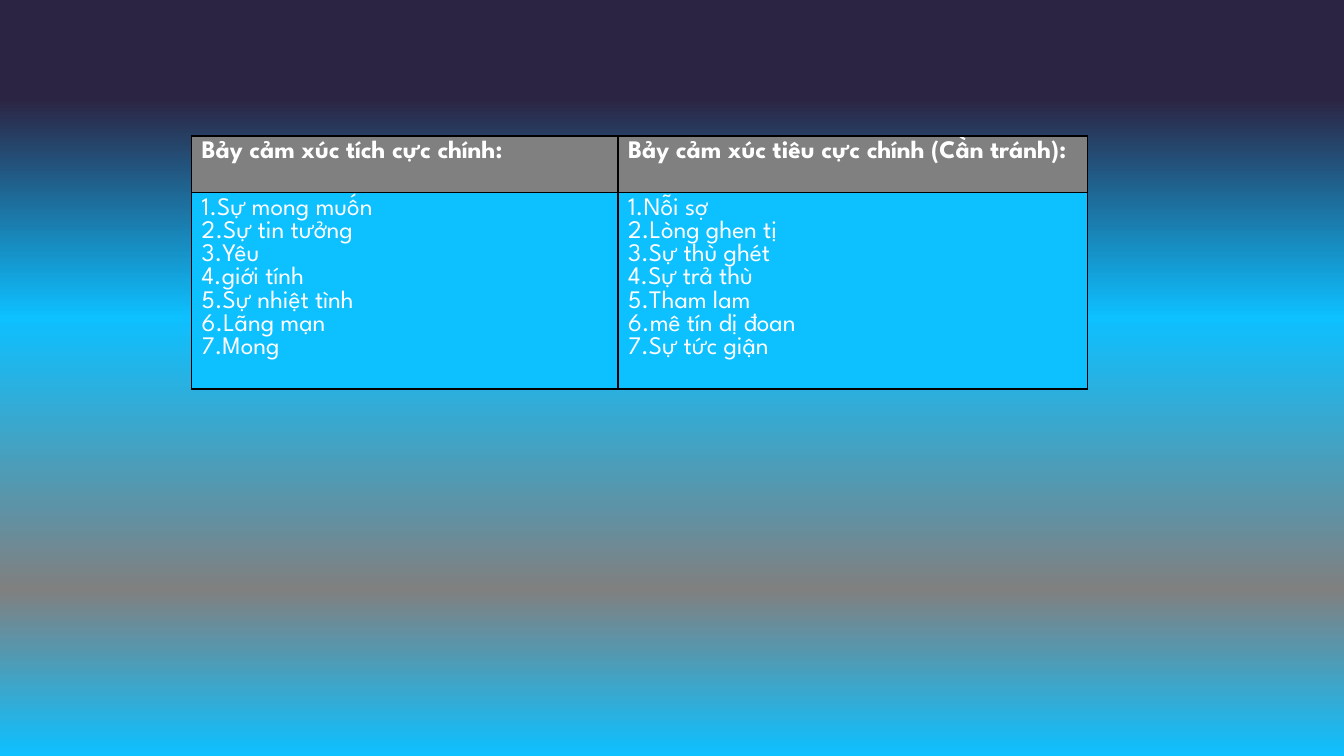
from lxml.etree import SubElement
from pptx import Presentation
from pptx.dml.color import RGBColor
from pptx.oxml.ns import qn
from pptx.util import Inches, Pt

FONT = "League Spartan"
NAVY, CYAN, GRAY = "2C2443", "0DC0FF", "808080"
WHITE, BLACK = "FFFFFF", "000000"
STOPS = [(13, NAVY), (42, CYAN), (78, GRAY), (100, CYAN)]
WIDTHS = [4.23, 4.66]
HEIGHTS = [0.56, 1.95]
LISTS = {
    "Bảy cảm xúc tích cực chính:": [
        "Sự mong muốn", "Sự tin tưởng", "Yêu", "giới tính",
        "Sự nhiệt tình", "Lãng mạn", "Mong",
    ],
    "Bảy cảm xúc tiêu cực chính (Cần tránh):": [
        "Nỗi sợ", "Lòng ghen tị", "Sự thù ghét", "Sự trả thù",
        "Tham lam", "mê tín dị đoan", "Sự tức giận",
    ],
}


def color(code):
    return RGBColor.from_string(code)


def paint_back(slide):
    """Fill the background with a gradient from top to bottom."""
    fill = slide.background.fill
    fill.gradient()
    fill.gradient_angle = 270
    stops = slide.element.find(".//" + qn("a:gsLst"))
    for old in list(stops):
        stops.remove(old)
    for place, code in STOPS:
        stop = SubElement(stops, qn("a:gs"), pos=str(place * 1000))
        SubElement(stop, qn("a:srgbClr"), val=code)


def add_border(cell):
    props = cell._tc.get_or_add_tcPr()
    for side in ("lnL", "lnR", "lnT", "lnB"):
        line = SubElement(props, qn("a:" + side), w=str(Pt(1)))
        fill = SubElement(line, qn("a:solidFill"))
        SubElement(fill, qn("a:srgbClr"), val=BLACK)


def fill_cell(cell, lines, back, bold):
    add_border(cell)
    cell.fill.solid()
    cell.fill.fore_color.rgb = color(back)
    frame = cell.text_frame
    for i, text in enumerate(lines):
        para = frame.add_paragraph() if i else frame.paragraphs[0]
        run = para.add_run()
        run.text = text
        run.font.name = FONT
        run.font.size = Pt(18)
        run.font.bold = bold
        run.font.color.rgb = color(WHITE)


def add_grid(slide):
    table = slide.shapes.add_table(
        len(HEIGHTS), len(WIDTHS), Inches(1.9), Inches(1.35),
        Inches(sum(WIDTHS)), Inches(sum(HEIGHTS))).table
    for row, height in zip(table.rows, HEIGHTS):
        row.height = Inches(height)
    for col, (head, items) in enumerate(LISTS.items()):
        table.columns[col].width = Inches(WIDTHS[col])
        lines = [f"{n}.{item}" for n, item in enumerate(items, 1)]
        fill_cell(table.cell(0, col), [head], GRAY, True)
        fill_cell(table.cell(1, col), lines, CYAN, False)


def main():
    deck = Presentation()
    deck.slide_width = Inches(13.33)
    deck.slide_height = Inches(7.5)
    slide = deck.slides.add_slide(deck.slide_layouts[6])
    paint_back(slide)
    add_grid(slide)
    deck.save("out.pptx")


if __name__ == "__main__":
    main()
